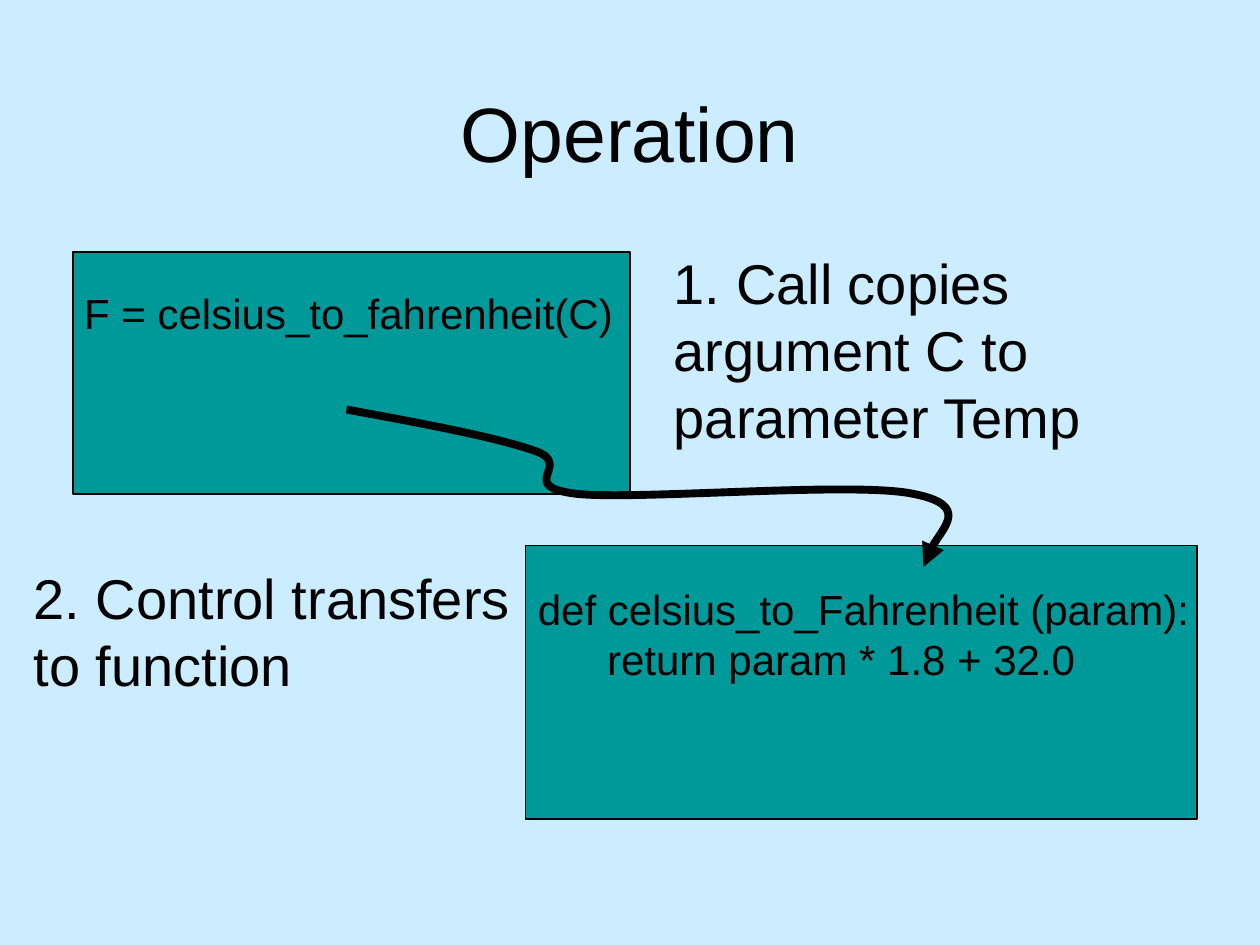
from lxml import etree
from pptx import Presentation
from pptx.dml.color import RGBColor
from pptx.enum.shapes import MSO_SHAPE
from pptx.enum.text import MSO_ANCHOR, PP_ALIGN
from pptx.oxml.ns import qn
from pptx.util import Inches, Pt

RECTANGLE = MSO_SHAPE.RECTANGLE
MIDDLE = MSO_ANCHOR.MIDDLE
LEFT, CENTER = PP_ALIGN.LEFT, PP_ALIGN.CENTER

COLORS = {"background": "CCECFF", "panel": "009999", "ink": "000000"}
FONT = "Arial"
TITLE_SIZE, NOTE_SIZE, CODE_SIZE = 44, 32, 24
TITLE_LAYOUT = 5


def color(name):
    return RGBColor.from_string(COLORS[name])


class SlideBuilder:
    """Holds the style and the slide being built."""

    def __init__(self, presentation):
        self.slide = presentation.slides.add_slide(
            presentation.slide_layouts[TITLE_LAYOUT])
        fill = self.slide.background.fill
        fill.solid()
        fill.fore_color.rgb = color("background")

    def format_paragraph(self, paragraph, size, alignment=LEFT):
        paragraph.alignment = alignment
        for name, value in {"name": FONT, "size": Pt(size)}.items():
            setattr(paragraph.font, name, value)
        paragraph.font.color.rgb = color("ink")

    def title(self, text, left, top, width, height):
        shape = self.slide.shapes.title
        place = {"left": left, "top": top, "width": width, "height": height}
        for name, value in place.items():
            setattr(shape, name, Inches(value))
        shape.text_frame.text = text
        shape.text_frame.vertical_anchor = MIDDLE
        self.format_paragraph(shape.text_frame.paragraphs[0], TITLE_SIZE, CENTER)

    def panel(self, left, top, width, height):
        shape = self.slide.shapes.add_shape(
            RECTANGLE, *map(Inches, (left, top, width, height)))
        shape.shadow.inherit = False
        shape.fill.solid()
        shape.fill.fore_color.rgb = color("panel")
        shape.line.color.rgb = color("ink")
        shape.line.width = Pt(0.75)

    def text(self, lines, size, left, top, width, height):
        """Each line is a pair of its text and its indent in inches."""
        box = self.slide.shapes.add_textbox(
            *map(Inches, (left, top, width, height)))
        frame = box.text_frame
        frame.word_wrap = True
        for index, (line, indent) in enumerate(lines):
            paragraph = frame.add_paragraph() if index else frame.paragraphs[0]
            paragraph.text = line
            self.format_paragraph(paragraph, size)
            if indent:
                properties = paragraph._p.get_or_add_pPr()
                properties.set("marL", str(Inches(indent)))

    def curved_arrow(self, points):
        """The first point is the start; each next three make a Bezier curve."""
        start, *controls = [(Inches(x), Inches(y)) for x, y in points]
        builder = self.slide.shapes.build_freeform(*start)
        builder.add_line_segments(controls, close=False)
        shape = builder.convert_to_shape()
        shape.shadow.inherit = False
        shape.fill.background()
        shape.line.color.rgb = color("ink")
        shape.line.width = Pt(4.5)

        # Turn each three line segments into one cubic curve
        path = next(shape._element.iter(qn("a:path")))
        segments = path.findall(qn("a:lnTo"))
        for first in range(0, len(segments), 3):
            curve = etree.SubElement(path, qn("a:cubicBezTo"))
            for segment in segments[first:first + 3]:
                curve.append(segment[0])
                path.remove(segment)

        # Arrowhead at the end
        line = shape.line._get_or_add_ln()
        etree.SubElement(line, qn("a:tailEnd"), type="triangle")


def main():
    presentation = Presentation()
    presentation.slide_width = Inches(10)
    presentation.slide_height = Inches(7.5)
    builder = SlideBuilder(presentation)

    builder.title("Operation", 0.75, 0.42, 8.5, 1.25)

    # Function definition
    builder.panel(4.17, 4.33, 5.33, 2.17)
    builder.text([("def celsius_to_Fahrenheit (param):", 0),
                  ("return param * 1.8 + 32.0", 0.55)],
                 CODE_SIZE, 4.17, 4.58, 5.42, 0.91)

    # Calling statement
    builder.panel(0.58, 2, 4.42, 1.92)
    builder.text([("F = celsius_to_fahrenheit(C)", 0)],
                 CODE_SIZE, 0.57, 2.23, 4.76, 0.5)

    # First step, and the arrow from call to function
    builder.text([("1. Call copies argument C to parameter Temp", 0)],
                 NOTE_SIZE, 5.25, 1.92, 3.83, 1.7)
    builder.curved_arrow([
        (2.75, 3.25),
        (3.35, 3.36), (3.94, 3.47), (4.25, 3.58),
        (4.56, 3.69), (4.08, 3.86), (4.58, 3.92),
        (5.08, 3.97), (6.79, 3.82), (7.25, 3.92),
        (7.71, 4.01), (7.32, 4.4), (7.33, 4.5),
    ])

    # Second step
    builder.text([("2. Control transfers to function", 0)],
                 NOTE_SIZE, 0.17, 4.42, 4, 1.18)

    presentation.save("out.pptx")


if __name__ == "__main__":
    main()
